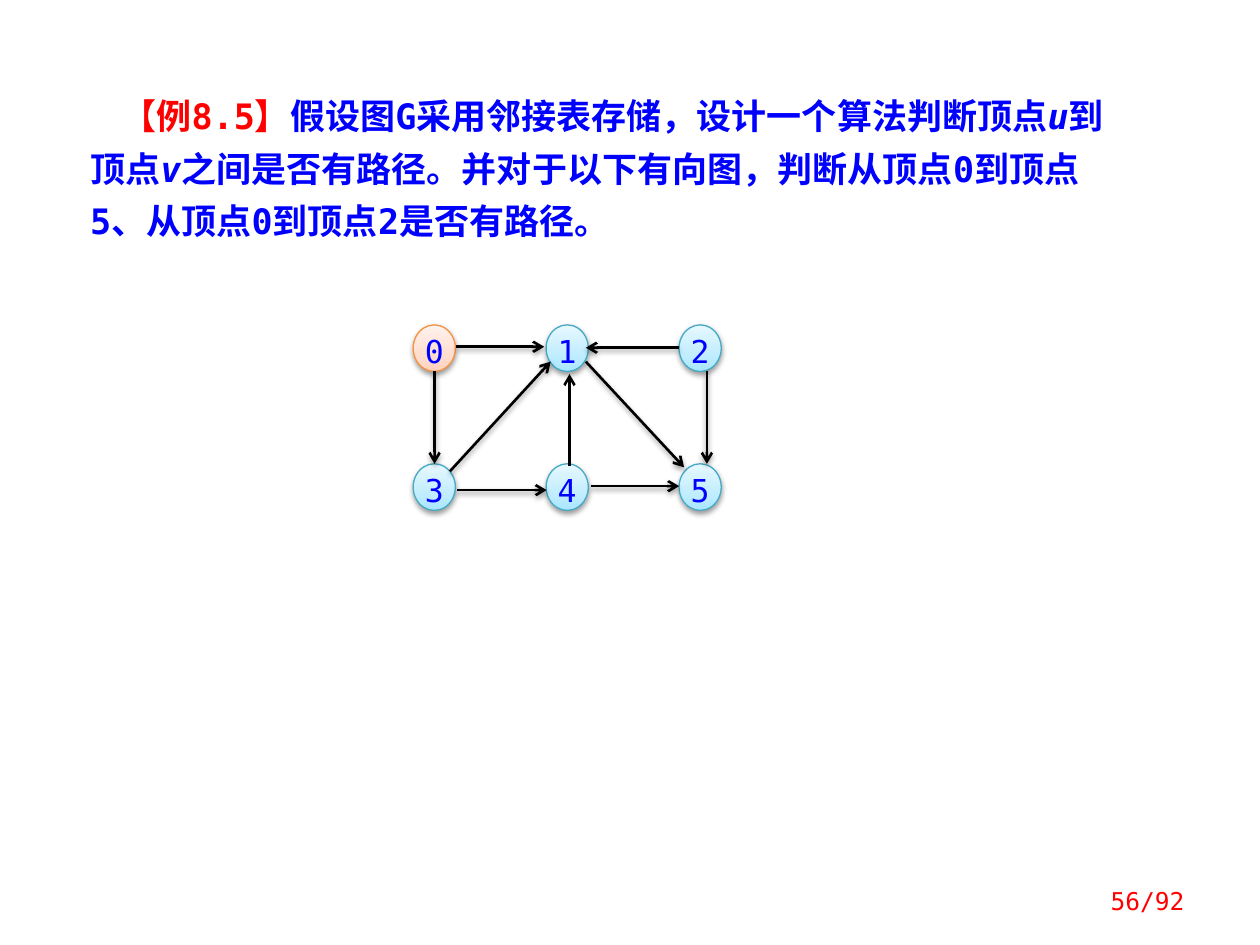
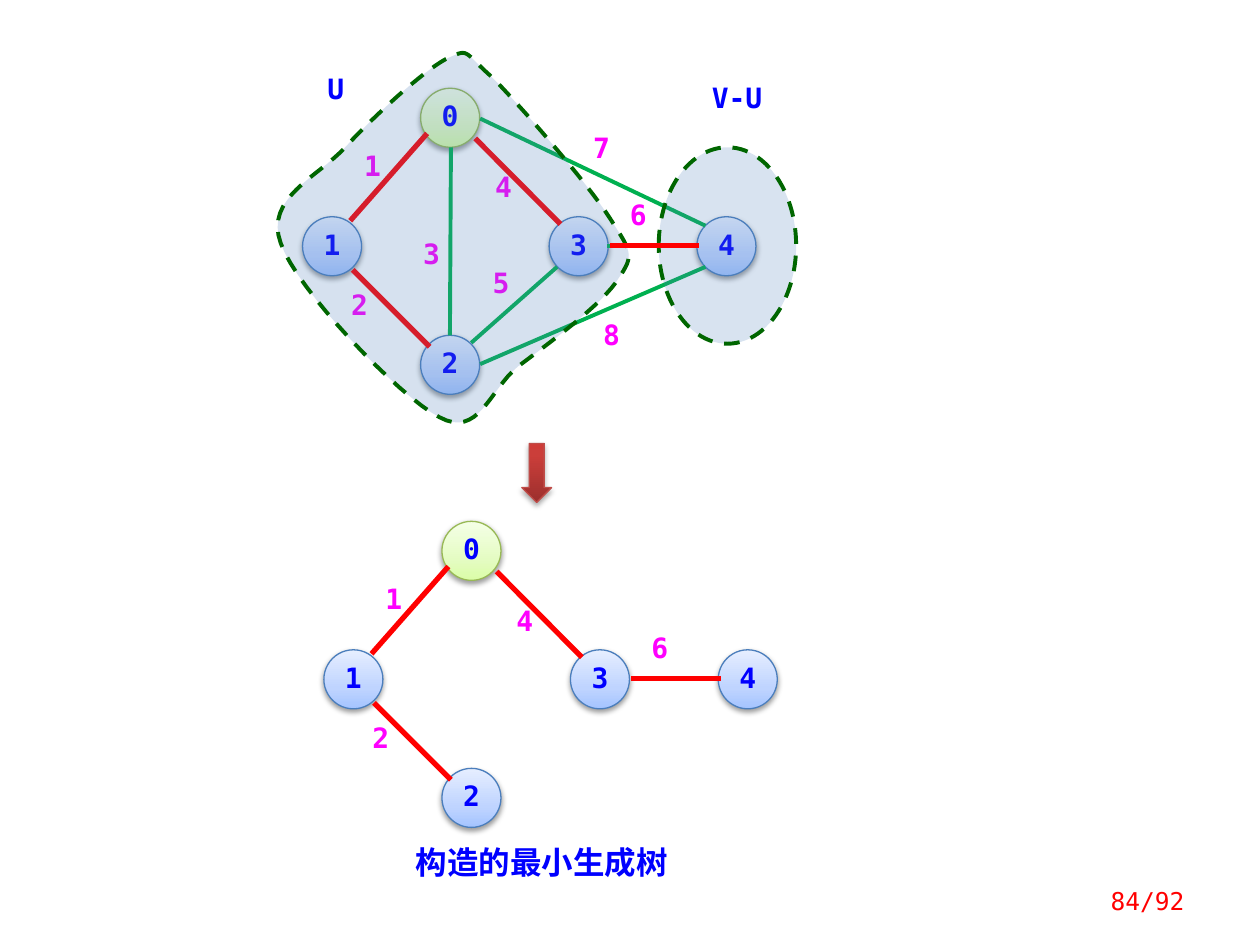
from dataclasses import dataclass

from pptx import Presentation
from pptx.dml.color import RGBColor
from pptx.enum.dml import MSO_LINE
from pptx.enum.shapes import MSO_CONNECTOR, MSO_SHAPE
from pptx.enum.text import MSO_ANCHOR, PP_ALIGN
from pptx.oxml.ns import qn
from pptx.oxml.xmlchemy import OxmlElement
from pptx.util import Cm, Pt

LATIN = "DejaVu Sans Mono"
CHINESE = "Noto Sans CJK SC"
BLUE, RED, MAGENTA = "0000FF", "FF0000", "FF00FF"
GREEN, DARK_GREEN, BLACK = "00B050", "006600", "000000"

Point = tuple[float, float]


@dataclass(frozen=True)
class Look:
    stops: tuple[tuple[int, str], ...]
    line: str
    shadow_opacity: int = 38


@dataclass(frozen=True)
class Span:
    text: str
    color: str = BLUE
    size: int = 16
    bold: bool = True
    italic: bool = False
    font: str = LATIN


@dataclass(frozen=True)
class Edge:
    start: Point
    end: Point
    weight: str = ""
    label: Point = (0, 0)


CYAN = Look(((0, "A7E6FF"), (35, "C1EDFF"), (100, "E7F8FF")), "46AAC5")
ORANGE = Look(((0, "FFD2BD"), (35, "FFDED0"), (100, "FFF2ED")), "F69240")
LIME = Look(((0, "DAFDA7"), (35, "E4FCC2"), (100, "F5FFE7")), "98B955")
SKY = Look(((0, "A4C4FF"), (35, "BFD4FF"), (100, "E6EEFF")), "4B7EBC")
BRICK = Look(((0, "9C2F2D"), (80, "CB3E3A"), (100, "CE3B37")), "BF4C48", 35)

EXAMPLE = (
    Span("【例8.5】", RED, 20),
    Span("假设图G采用邻接表存储，设计一个算法判断顶点", size=20),
    Span("u", size=20, italic=True),
    Span("到顶点", size=20),
    Span("v", size=20, italic=True),
    Span("之间是否有路径。并对于以下有向图，判断从顶点0到顶点5、从顶点0到顶点2是否有路径。", size=20),
)
ARCS = (
    Edge((9.19, 6.99), (10.97, 6.99)),
    Edge((13.69, 7.01), (11.81, 7.01)),
    Edge((8.76, 7.47), (8.76, 9.35)),
    Edge((9.22, 9.88), (11.02, 9.88)),
    Edge((11.91, 9.8), (13.69, 9.8)),
    Edge((14.25, 7.47), (14.25, 9.35)),
    Edge((9.07, 9.5), (11.1, 7.29)),
    Edge((11.81, 7.29), (13.79, 9.42)),
)
FLAT_ARC = Edge((11.48, 9.4), (11.48, 7.54))

VERTICES = ((8.48, 1.78), (6.1, 4.37), (8.48, 6.76), (11.07, 4.37), (14.05, 4.37))
OTHER_EDGES = (
    Edge((9.09, 2.97), (9.07, 6.76), "3", (8.28, 4.72)),
    Edge((11.23, 5.38), (9.5, 6.91), "5", (9.68, 5.31)),
    Edge((12.24, 4.95), (14.05, 4.95)),
    Edge((9.68, 2.39), (14.22, 4.55), "7", (11.71, 2.59)),
    Edge((9.68, 7.34), (14.22, 5.38), "8", (11.91, 6.35)),
)
TREE_EDGES = (
    Edge((8.61, 2.69), (7.06, 4.45), "1", (7.09, 2.95)),
    Edge((7.11, 5.44), (8.66, 6.99), "2", (6.83, 5.74)),
    Edge((9.58, 2.79), (11.3, 4.52), "4", (9.73, 3.38)),
    Edge((12.29, 4.95), (14.1, 4.95), "6", (12.45, 3.94)),
)
TREE_SHIFT = (0.43, 8.73)
U_START = (8.99, 1.19)
U_CURVES = (
    ((8.51, 1.45), (7.52, 2.36), (6.96, 2.97)),
    ((6.4, 3.58), (5.33, 3.99), (5.66, 4.9)),
    ((5.97, 5.82), (8.05, 8), (8.86, 8.41)),
    ((9.65, 8.84), (9.86, 7.87), (10.44, 7.39)),
    ((11.05, 6.93), (12.17, 6.12), (12.47, 5.61)),
    ((12.8, 5.13), (12.73, 5.08), (12.29, 4.39)),
    ((11.86, 3.71), (10.41, 2.03), (9.88, 1.52)),
    ((9.32, 1.02), (9.47, 0.97), U_START),
)


def rgb(value: str) -> RGBColor:
    return RGBColor.from_string(value)


def assign(target, **values) -> None:
    for name, value in values.items():
        setattr(target, name, value)


def element(tag: str, parent=None, **attributes):
    node = OxmlElement(tag)
    for name, value in attributes.items():
        node.set(name, str(value))
    if parent is not None:
        parent.append(node)
    return node


def color_stroke(shape, color: str, width: float) -> None:
    shape.line.color.rgb = rgb(color)
    shape.line.width = Pt(width)


def set_effects(shape, opacity: int = 0) -> None:
    properties = shape.element.spPr
    effects = properties.find(qn("a:effectLst"))
    if effects is None:
        effects = element("a:effectLst", properties)
    if opacity:
        shadow = element("a:outerShdw", effects, blurRad=Pt(3.1), dist=Pt(1.6),
                         dir=5400000, rotWithShape=0)
        color = element("a:srgbClr", shadow, val=BLACK)
        element("a:alpha", color, val=opacity * 1000)


def write(shape, spans: tuple[Span, ...], spacing=1.0, align=PP_ALIGN.LEFT,
          anchor=MSO_ANCHOR.TOP, indent: float = 0):
    frame = shape.text_frame
    assign(frame, word_wrap=True, vertical_anchor=anchor)
    para = frame.paragraphs[0]
    assign(para, alignment=align, line_spacing=spacing)
    if indent:
        para._p.get_or_add_pPr().set("indent", str(Cm(indent)))
    for span in spans:
        run = para.add_run()
        run.text = span.text
        assign(run.font, name=span.font, size=Pt(span.size), bold=span.bold, italic=span.italic)
        run.font.color.rgb = rgb(span.color)
        element("a:ea", run.font._element, typeface=CHINESE)
    return frame


def add_text(page, place: Point, size: Point, spans: tuple[Span, ...], **layout) -> None:
    box = page.shapes.add_textbox(*map(Cm, place + size))
    write(box, spans, **layout)


def add_glossy(page, kind, place: Point, size: Point, look: Look):
    shape = page.shapes.add_shape(kind, *map(Cm, place + size))
    shape.fill.gradient()
    shape.fill.gradient_angle = 90
    stops = shape.element.spPr.find(qn("a:gradFill")).find(qn("a:gsLst"))
    for stop in list(stops):
        stops.remove(stop)
    for position, color in look.stops:
        stop = element("a:gs", stops, pos=position * 1000)
        element("a:srgbClr", stop, val=color)
    color_stroke(shape, look.line, 0.75)
    shape.shadow.inherit = False
    set_effects(shape, look.shadow_opacity)
    return shape


def add_node(page, place: Point, size: Point, look: Look, span: Span, anchor) -> None:
    node = add_glossy(page, MSO_SHAPE.OVAL, place, size, look)
    spacing = 0.9 if span.bold else 1.0
    frame = write(node, (span,), spacing, PP_ALIGN.CENTER, anchor)
    assign(frame, margin_left=0, margin_right=0, margin_top=0, margin_bottom=0)


def moved(point: Point, shift: Point) -> Point:
    return point[0] + shift[0], point[1] + shift[1]


def add_edge(page, edge: Edge, color: str, width: float, shift: Point = (0, 0),
             arrow: bool = False, shadow: int = 0) -> None:
    ends = moved(edge.start, shift) + moved(edge.end, shift)
    line = page.shapes.add_connector(MSO_CONNECTOR.STRAIGHT, *map(Cm, ends))
    color_stroke(line, color, width)
    if arrow:
        element("a:tailEnd", line.line._get_or_add_ln(), type="arrow")
    set_effects(line, shadow)


def add_weight(page, edge: Edge, shift: Point = (0, 0)) -> None:
    if edge.weight:
        add_text(page, moved(edge.label, shift), (1.19, 0.81),
                 (Span(edge.weight, MAGENTA),), spacing=0.9)


def add_vertices(page, shift: Point = (0, 0)) -> None:
    for number, place in enumerate(VERTICES):
        add_node(page, moved(place, shift), (1.19, 1.19), SKY if number else LIME,
                 Span(str(number)), MSO_ANCHOR.MIDDLE)


def mark_region(shape, opacity: int) -> None:
    shape.fill.solid()
    shape.fill.fore_color.rgb = rgb("4F81BD")
    color = shape.element.spPr.find(qn("a:solidFill"))[0]
    element("a:alpha", color, val=opacity * 1000)
    color_stroke(shape, DARK_GREEN, 2.25)
    shape.line.dash_style = MSO_LINE.DASH
    shape.shadow.inherit = False


def curve_points(start: Point, curves, steps: int = 16) -> list[Point]:
    points = []
    for first, second, end in curves:
        for step in range(1, steps + 1):
            t = step / steps
            weights = ((1 - t) ** 3, 3 * t * (1 - t) ** 2, 3 * t ** 2 * (1 - t), t ** 3)
            corners = (start, first, second, end)
            points.append(tuple(
                sum(weight * corner[axis] for weight, corner in zip(weights, corners))
                for axis in (0, 1)))
        start = end
    return points


def add_regions(page) -> None:
    builder = page.shapes.build_freeform(*map(Cm, U_START))
    builder.add_line_segments([(Cm(x), Cm(y)) for x, y in curve_points(U_START, U_CURVES)])
    mark_region(builder.convert_to_shape(), 23)
    oval = page.shapes.add_shape(MSO_SHAPE.OVAL, Cm(13.28), Cm(2.97), Cm(2.77), Cm(3.96))
    mark_region(oval, 22)


def add_page(deck, number: int):
    page = deck.slides.add_slide(deck.slide_layouts[6])
    add_text(page, (21.03, 17.65), (3.1, 1.02), (Span(f"{number}/92", RED, 14, False),),
             align=PP_ALIGN.RIGHT, anchor=MSO_ANCHOR.MIDDLE)
    return page


def build_path_example(deck) -> None:
    page = add_page(deck, 56)
    add_text(page, (1.57, 1.57), (21.44, 3.45), EXAMPLE, spacing=Pt(30), indent=0.63)
    for number in range(6):
        row, column = divmod(number, 3)
        add_node(page, (8.33 + 2.68 * column, 6.55 + 2.8 * row), (0.85, 0.94),
                 CYAN if number else ORANGE, Span(str(number), size=18, bold=False),
                 MSO_ANCHOR.TOP)
    for arc in ARCS:
        add_edge(page, arc, BLACK, 1.5, arrow=True, shadow=38)
    add_edge(page, FLAT_ARC, BLACK, 1.5, arrow=True)


def build_spanning_tree(deck) -> None:
    page = add_page(deck, 84)
    add_vertices(page)
    for edge in OTHER_EDGES:
        add_edge(page, edge, GREEN, 2.25)
    for edge in OTHER_EDGES + TREE_EDGES:
        add_weight(page, edge)
    for edge in TREE_EDGES[:-1]:
        add_edge(page, edge, RED, 3)
    add_text(page, (6.35, 1.4), (0.99, 0.81), (Span("U"),), spacing=0.9)
    add_text(page, (14.1, 1.57), (1.78, 0.81), (Span("V-U"),), spacing=0.9)
    add_regions(page)
    add_edge(page, TREE_EDGES[-1], RED, 3)

    add_glossy(page, MSO_SHAPE.DOWN_ARROW, (10.52, 8.94), (0.6, 1.19), BRICK)
    add_vertices(page, TREE_SHIFT)
    for edge in TREE_EDGES:
        add_edge(page, edge, RED, 3, TREE_SHIFT)
        add_weight(page, edge, TREE_SHIFT)
    add_text(page, (8.13, 17.07), (6.55, 0.86),
             (Span("构造的最小生成树", size=18, font=CHINESE),), spacing=0.7)


def main() -> None:
    deck = Presentation()
    assign(deck, slide_width=Cm(25.4), slide_height=Cm(19.05))
    build_path_example(deck)
    build_spanning_tree(deck)
    deck.save("out.pptx")


if __name__ == "__main__":
    main()
